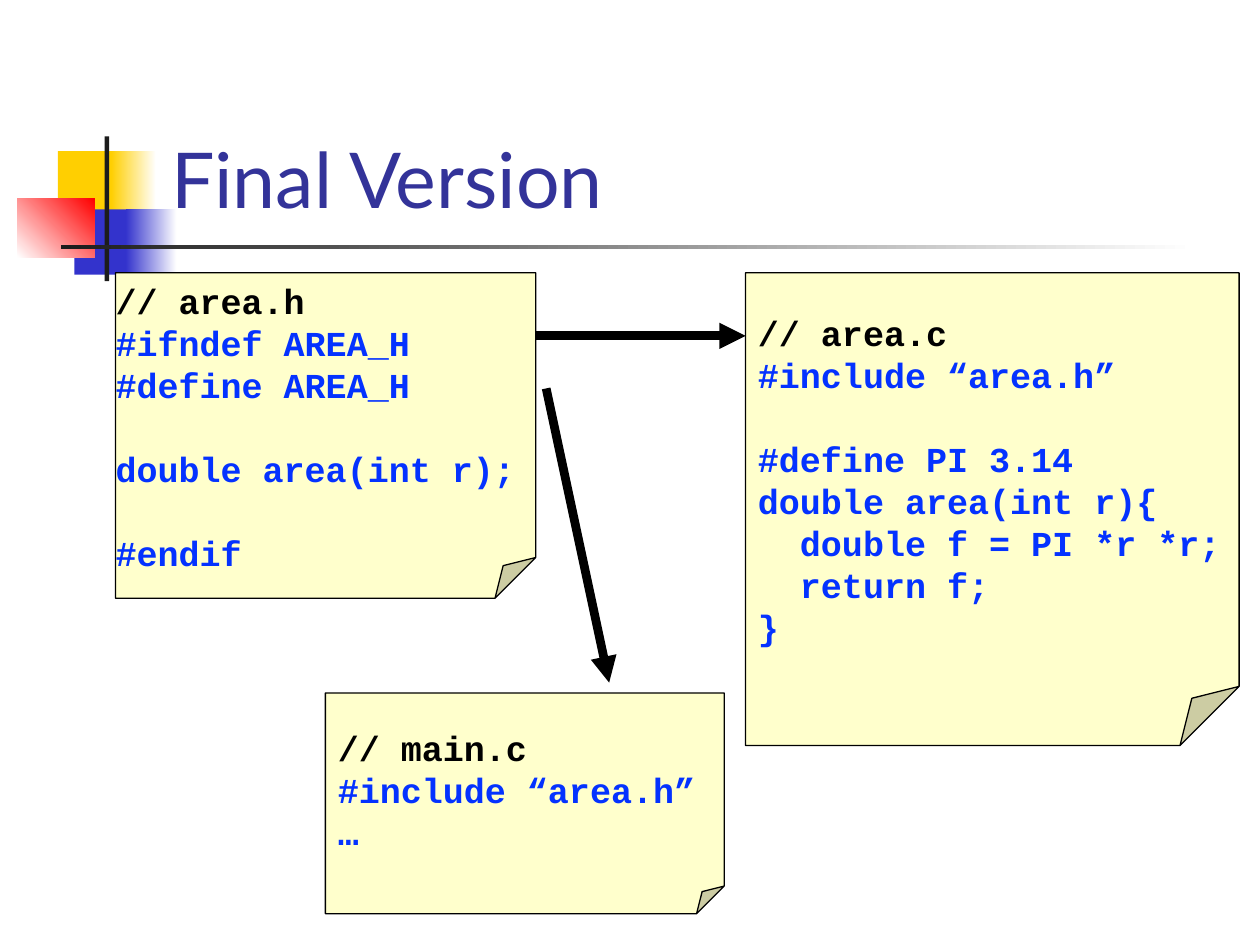
from dataclasses import dataclass

from lxml.etree import SubElement
from pptx import Presentation
from pptx.dml.color import RGBColor
from pptx.enum.shapes import MSO_CONNECTOR, MSO_SHAPE
from pptx.enum.text import MSO_ANCHOR, PP_ALIGN
from pptx.oxml.ns import qn
from pptx.util import Cm, Pt


@dataclass(frozen=True)
class Theme:
    title_font: str = "Lato"
    code_font: str = "Courier New"
    title_size: int = 44
    code_size: int = 20
    code_pitch: int = 24
    title: str = "333399"
    comment: str = "000000"
    code: str = "0432FF"
    note: str = "FFFFCC"
    ink: str = "000000"
    bar: str = "1C1C1C"
    yellow: str = "FFCF01"
    blue: str = "3333CC"
    red: str = "FF0000"
    white: str = "FFFFFF"


THEME = Theme()


def rgb(value):
    return RGBColor.from_string(value)


def lengths(values):
    return [Cm(value) for value in values]


def add_block(page, place, start, end=None, angle=0):
    """Plain decorative rectangle, fading from start to end if both are given."""
    block = page.shapes.add_shape(MSO_SHAPE.RECTANGLE, *lengths(place))
    block.shadow.inherit = False
    block.line.fill.background()
    if end is None:
        block.fill.solid()
        block.fill.fore_color.rgb = rgb(start)
        return
    block.fill.gradient()
    block.fill.gradient_angle = angle
    for stop, color, position in zip(block.fill.gradient_stops, (start, end), (0, 1)):
        stop.color.rgb = rgb(color)
        stop.position = position


def add_title(page, place, text):
    box = page.shapes.add_textbox(*lengths(place))
    frame = box.text_frame
    frame.word_wrap = True
    frame.vertical_anchor = MSO_ANCHOR.BOTTOM
    para = frame.paragraphs[0]
    para.text = text
    para.font.name = THEME.title_font
    para.font.size = Pt(THEME.title_size)
    para.font.color.rgb = rgb(THEME.title)


def add_note(page, place, code, anchor=MSO_ANCHOR.MIDDLE, left_margin=0.25):
    """Folded-corner note of code; an empty line becomes space before the next."""
    note = page.shapes.add_shape(MSO_SHAPE.FOLDED_CORNER, *lengths(place))
    # The library knows no adjustment for this shape, so the fold is set in XML
    fold = note._element.spPr.find(qn("a:prstGeom")).get_or_add_avLst()
    SubElement(fold, qn("a:gd"), name="adj", fmla="val 12500")
    note.shadow.inherit = False
    note.fill.solid()
    note.fill.fore_color.rgb = rgb(THEME.note)
    note.line.color.rgb = rgb(THEME.ink)
    note.line.width = Pt(0.75)

    frame = note.text_frame
    frame.word_wrap = False
    frame.vertical_anchor = anchor
    frame.margin_left = Cm(left_margin)

    para, gap = None, 0
    for line in code:
        if not line:
            gap += THEME.code_pitch
            continue
        para = frame.add_paragraph() if para else frame.paragraphs[0]
        para.text = line
        para.alignment = PP_ALIGN.LEFT
        para.line_spacing = Pt(THEME.code_pitch)
        if gap:
            para.space_before = Pt(gap)
        gap = 0
        para.font.name = THEME.code_font
        para.font.size = Pt(THEME.code_size)
        para.font.bold = True
        para.font.color.rgb = rgb(THEME.comment if line.startswith("//") else THEME.code)


def add_arrow(page, start, end):
    arrow = page.shapes.add_connector(MSO_CONNECTOR.STRAIGHT, *lengths(start + end))
    arrow.line.color.rgb = rgb(THEME.ink)
    arrow.line.width = Pt(5)
    SubElement(arrow.line._get_or_add_ln(), qn("a:tailEnd"), type="triangle")
    SubElement(arrow._element.spPr, qn("a:effectLst"))


def main():
    deck = Presentation()
    deck.slide_width, deck.slide_height = Cm(25.4), Cm(19.05)
    page = deck.slides.add_slide(deck.slide_layouts[6])

    # Coloured squares and rules beside the title
    add_block(page, (1.17, 3.05, 1.22, 1.32), THEME.yellow)
    add_block(page, (2.24, 3.05, 0.91, 1.32), THEME.yellow, THEME.white)
    add_block(page, (1.5, 4.22, 1.17, 1.32), THEME.blue)
    add_block(page, (2.54, 4.22, 1.02, 1.32), THEME.blue, THEME.white)
    add_block(page, (0.35, 4.01, 1.56, 1.18), THEME.white, THEME.red, angle=45)
    add_block(page, (2.11, 2.75, 0.09, 2.92), THEME.bar)
    add_block(page, (1.23, 4.94, 22.86, 0.09), THEME.bar, THEME.white)
    add_title(page, (3.2, 0.58, 21.64, 4.06), "Final Version")

    # Header and main program
    add_note(page, (2.33, 5.5, 8.47, 6.56), [
        "// area.h",
        "#ifndef AREA_H",
        "#define AREA_H",
        "",
        "double area(int r);",
        "",
        "#endif",
    ], anchor=MSO_ANCHOR.TOP, left_margin=0)
    add_note(page, (6.56, 13.97, 8.04, 4.45), [
        "// main.c",
        "#include “area.h”",
        "…",
    ])

    # Arrows from the header to the files that include it
    add_arrow(page, (11.01, 7.83), (12.28, 13.76))
    add_arrow(page, (10.8, 6.77), (15.03, 6.77))

    # Implementation
    add_note(page, (15.03, 5.5, 9.95, 9.53), [
        "// area.c",
        "#include “area.h”",
        "",
        "#define PI 3.14",
        "double area(int r){",
        "  double f = PI *r *r;",
        "  return f;",
        "}",
    ])

    deck.save("out.pptx")


if __name__ == "__main__":
    main()
